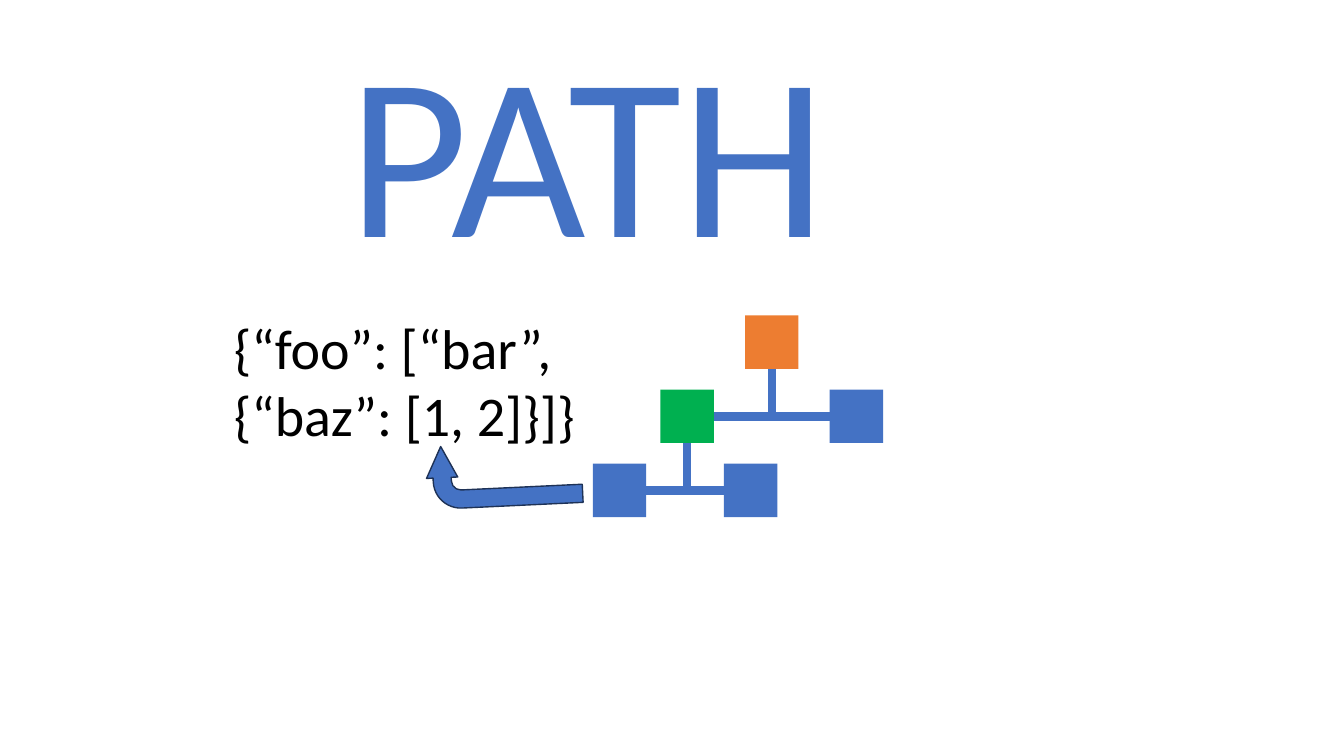
import pptx
import pptx.util
import pptx.dml.color
import pptx.enum.shapes
import pptx.enum.text
import lxml.etree

BLUE, GREEN, ORANGE = "4472C4", "00B050", "ED7D31"
BLACK, NAVY = "000000", "1E3256"

TITLE = ["PATH"]
JSON_LINES = ["{“foo”: [“bar”,", "{“baz”: [1, 2]}]}"]

# name: (left edge, tree level, colour)
NODES = {
    "root": (7.39, 0, ORANGE),
    "list": (6.55, 1, GREEN),
    "bar": (8.23, 1, BLUE),
    "one": (5.88, 2, BLUE),
    "two": (7.18, 2, BLUE),
}
# parent, left node and right node of the row below it
BRANCHES = [("root", "list", "bar"), ("list", "one", "two")]
NODE, TREE_TOP, LEVEL_STEP = 0.53, 3.13, 0.735
BOTTOM, LEFT, RIGHT = 2, 1, 3

SHAPE = pptx.enum.shapes.MSO_SHAPE
inch = pptx.util.Inches


def rgb(value):
    return pptx.dml.color.RGBColor.from_string(value)


def add_text(slide, lines, box, size, color, font="Calibri"):
    tf = slide.shapes.add_textbox(*map(inch, box)).text_frame
    tf.word_wrap = False
    tf.auto_size = pptx.enum.text.MSO_AUTO_SIZE.SHAPE_TO_FIT_TEXT
    for i, line in enumerate(lines):
        p = tf.paragraphs[0] if i == 0 else tf.add_paragraph()
        r = p.add_run()
        r.text = line
        r.font.name = font
        r.font.size = pptx.util.Pt(size)
        r.font.color.rgb = rgb(color)


def add_shape(slide, kind, box, fill, line=None):
    sp = slide.shapes.add_shape(kind, *map(inch, box))
    sp.shadow.inherit = False
    sp.fill.solid()
    sp.fill.fore_color.rgb = rgb(fill)
    if line:
        sp.line.color.rgb = rgb(line)
        sp.line.width = pptx.util.Pt(1)
    else:
        sp.line.fill.background()
    return sp


def add_line(slide, x1, y1, x2, y2):
    line = slide.shapes.add_connector(
        pptx.enum.shapes.MSO_CONNECTOR.STRAIGHT, x1, y1, x2, y2)
    line.line.color.rgb = rgb(BLUE)
    line.line.width = pptx.util.Pt(6)
    lxml.etree.SubElement(line._element.spPr, pptx.oxml.ns.qn("a:effectLst"))
    return line


def add_tree(slide):
    squares = {
        name: add_shape(slide, SHAPE.RECTANGLE,
                        (x, TREE_TOP + level * LEVEL_STEP, NODE, NODE), color)
        for name, (x, level, color) in NODES.items()
    }
    for names in BRANCHES:
        parent, left, right = (squares[name] for name in names)
        x = parent.left + parent.width // 2
        y = left.top + left.height // 2
        trunk = add_line(slide, x, parent.top + parent.height, x, y)
        trunk.begin_connect(parent, BOTTOM)
        bar = add_line(slide, left.left + left.width, y, right.left, y)
        bar.begin_connect(left, RIGHT)
        bar.end_connect(right, LEFT)


def main():
    prs = pptx.Presentation()
    prs.slide_width, prs.slide_height = inch(13.33), inch(7.5)
    slide = prs.slides.add_slide(prs.slide_layouts[6])

    add_text(slide, TITLE, (3.36, 0, 4.98, 2.89), 166, BLUE)
    add_tree(slide)
    add_text(slide, JSON_LINES, (2.22, 3.06, 3.62, 1.45), 40, BLACK)

    arrow = add_shape(slide, SHAPE.BENT_ARROW, (4.69, 3.94, 0.62, 1.54), BLUE, NAVY)
    arrow.rotation = 267.3
    for i, value in enumerate((0.29, 0.25, 0.5, 0.44)):
        arrow.adjustments[i] = value

    prs.save("out.pptx")


if __name__ == "__main__":
    main()
